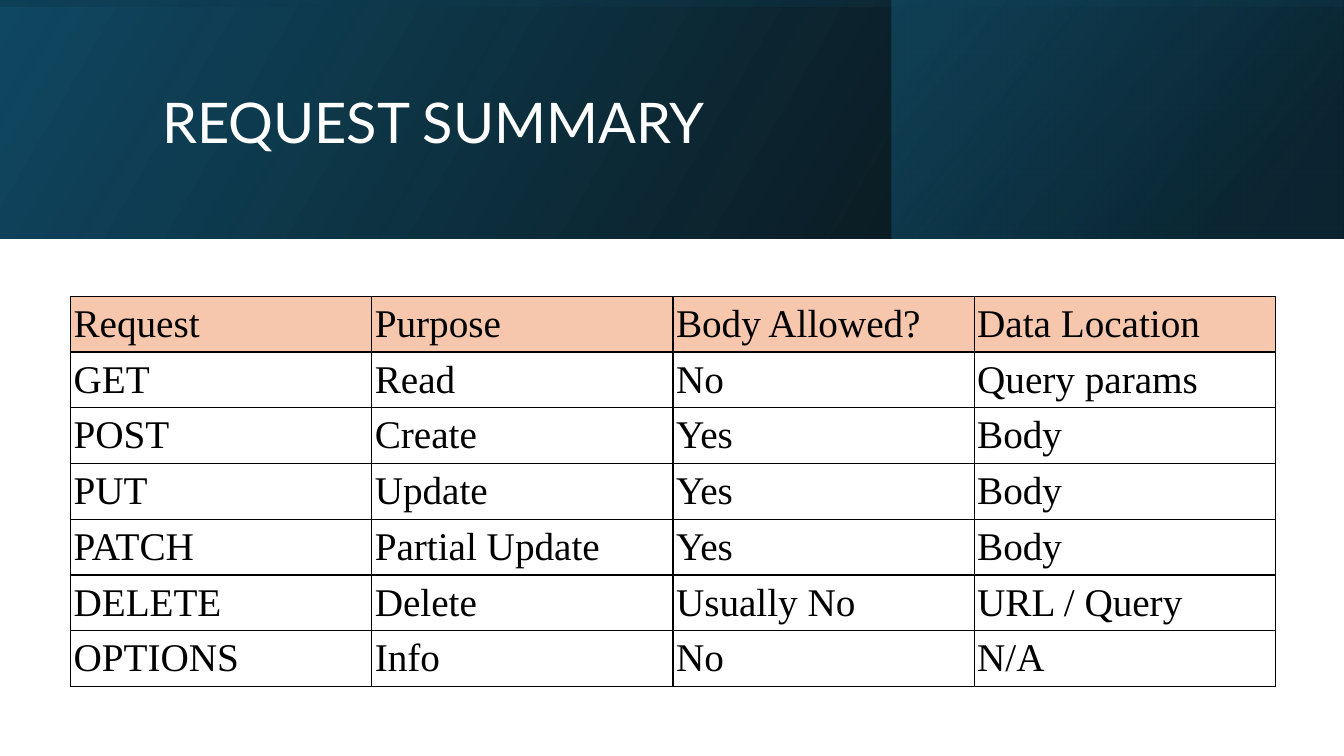
from dataclasses import dataclass

from lxml.etree import SubElement
from pptx import Presentation
from pptx.dml.color import RGBColor
from pptx.enum.shapes import MSO_SHAPE
from pptx.enum.text import MSO_ANCHOR
from pptx.oxml.ns import qn
from pptx.slide import Slide
from pptx.table import _Cell
from pptx.text.text import _Paragraph
from pptx.util import Inches, Pt

COLORS = {
    "white": "FFFFFF",
    "black": "000000",
    "navy": "104862",
    "deep": "0B3041",
    "teal": "156082",
    "peach": "F6C6AD",
}
TITLE = {"name": "Lato", "size": Pt(40), "color": "white"}
BODY = {"name": "Times New Roman", "size": Pt(28), "color": "black"}
CELL = {
    "vertical_anchor": MSO_ANCHOR.MIDDLE,
    "margin_left": Inches(0.03),
    "margin_right": Inches(0.03),
    "margin_top": Inches(0.01),
    "margin_bottom": Inches(0.01),
}
ROWS = [
    ("Request", "Purpose", "Body Allowed?", "Data Location"),
    ("GET", "Read", "No", "Query params"),
    ("POST", "Create", "Yes", "Body"),
    ("PUT", "Update", "Yes", "Body"),
    ("PATCH", "Partial Update", "Yes", "Body"),
    ("DELETE", "Delete", "Usually No", "URL / Query"),
    ("OPTIONS", "Info", "No", "N/A"),
]


@dataclass
class Stop:
    place: int
    color: str
    alpha: int


@dataclass
class Band:
    box: tuple[float, float, float, float]
    angle: int
    stops: list[Stop]
    turn: int = 0


BANDS = [
    Band((0, 0, 13.33, 2.37), 330, [Stop(0, "black", 96), Stop(100, "navy", 100)]),
    Band((8.84, 0, 4.48, 2.37), 320, [Stop(19, "deep", 68), Stop(100, "teal", 48)]),
    Band((5.48, -5.48, 2.37, 13.33), 350, [Stop(23, "navy", 16), Stop(99, "black", 45)], 270),
]


def draw_band(slide: Slide, band: Band) -> None:
    """Draw a mirrored rectangle with a see-through gradient."""
    shape = slide.shapes.add_shape(MSO_SHAPE.RECTANGLE, *map(Inches, band.box))
    shape.rotation = band.turn
    shape.shadow.inherit = False
    shape.line.fill.background()
    props = shape._element.spPr
    props.find(qn("a:xfrm")).set("flipH", "1")
    grad = SubElement(props, qn("a:gradFill"), rotWithShape="1")
    stops = SubElement(grad, qn("a:gsLst"))
    for stop in band.stops:
        mark = SubElement(stops, qn("a:gs"), pos=str(stop.place * 1000))
        tint = SubElement(mark, qn("a:srgbClr"), val=COLORS[stop.color])
        SubElement(tint, qn("a:alpha"), val=str(stop.alpha * 1000))
    SubElement(grad, qn("a:lin"), ang=str(band.angle * 60000), scaled="0")
    props.find(qn("a:ln")).addprevious(grad)


def write(para: _Paragraph, text: str, style: dict) -> None:
    run = para.add_run()
    run.text = text
    for key, value in style.items():
        if key == "color":
            run.font.color.rgb = RGBColor.from_string(COLORS[value])
        else:
            setattr(run.font, key, value)


def draw_title(slide: Slide, text: str) -> None:
    box = slide.shapes.add_textbox(Inches(1.51), Inches(0.38), Inches(10.63), Inches(1.72))
    frame = box.text_frame
    frame.word_wrap = True
    frame.vertical_anchor = MSO_ANCHOR.MIDDLE
    para = frame.paragraphs[0]
    para.line_spacing = 0.9
    write(para, text, TITLE)


def frame_cell(cell: _Cell) -> None:
    """Put a thin black border on all four sides, ahead of the fill."""
    props = cell._tc.get_or_add_tcPr()
    for spot, side in enumerate(("lnL", "lnR", "lnT", "lnB")):
        line = SubElement(props, qn(f"a:{side}"), w=str(Pt(1)))
        fill = SubElement(line, qn("a:solidFill"))
        SubElement(fill, qn("a:srgbClr"), val=COLORS["black"])
        props.insert(spot, line)


def draw_table(slide: Slide, rows: list[tuple[str, ...]]) -> None:
    table = slide.shapes.add_table(
        len(rows), len(rows[0]), Inches(0.7), Inches(2.94), Inches(11.95), Inches(3.87)
    ).table
    table.horz_banding = False
    for r, row in enumerate(rows):
        for c, text in enumerate(row):
            cell = table.cell(r, c)
            for key, value in CELL.items():
                setattr(cell, key, value)
            if r == 0:
                cell.fill.solid()
                cell.fill.fore_color.rgb = RGBColor.from_string(COLORS["peach"])
            else:
                cell.fill.background()
            frame_cell(cell)
            write(cell.text_frame.paragraphs[0], text, {**BODY, "bold": False})


def main() -> None:
    deck = Presentation()
    deck.slide_width = Inches(13.33)
    deck.slide_height = Inches(7.5)
    slide = deck.slides.add_slide(deck.slide_layouts[6])
    for band in BANDS:
        draw_band(slide, band)
    draw_title(slide, "REQUEST SUMMARY")
    draw_table(slide, ROWS)
    deck.save("out.pptx")


if __name__ == "__main__":
    main()
